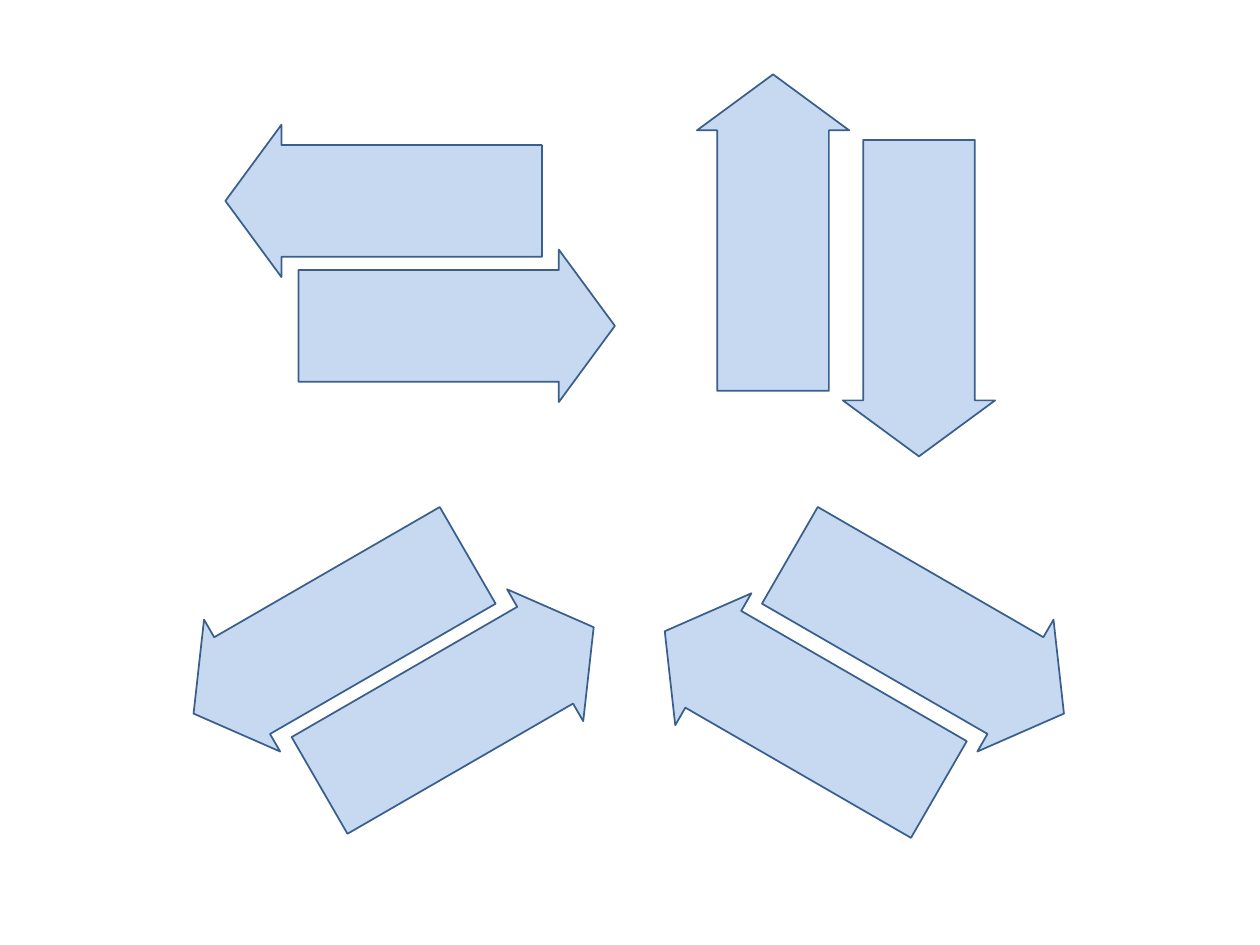
"""Build a slide of four pairs of opposing block arrows."""
import dataclasses

import pptx
import pptx.dml.color
import pptx.enum.shapes
import pptx.util

Cm = pptx.util.Cm
RGB = pptx.dml.color.RGBColor


@dataclasses.dataclass(frozen=True)
class Theme:
    fill: RGB = RGB.from_string("C6D9F1")
    edge: RGB = RGB.from_string("3A5F8C")
    line: float = 1
    font: str = "Calibri"
    size: float = 18


THEME = Theme()
WIDE, TALL = 3.07, 6.38
SHAFT, HEAD = 0.733, 0.368

LEVEL = [(7.67, 3.38, 90), (6.2, 0.86, 270)]
RISING = [(7.67, 11.05, 60), (5.13, 9.6, 240)]
FALLING = [(17.15, 9.6, 120), (14.63, 11.13, 300)]
UPRIGHT = [(14.05, 1.5, 0), (16.99, 2.82, 180)]


def add_arrow(shapes, left, top, turn):
    arrow = shapes.add_shape(
        pptx.enum.shapes.MSO_SHAPE.UP_ARROW, Cm(left), Cm(top), Cm(WIDE), Cm(TALL)
    )
    arrow.adjustments[0] = SHAFT
    arrow.adjustments[1] = HEAD
    arrow.rotation = turn
    arrow.shadow.inherit = False
    arrow.fill.solid()
    arrow.fill.fore_color.rgb = THEME.fill
    arrow.line.color.rgb = THEME.edge
    arrow.line.width = pptx.util.Pt(THEME.line)
    font = arrow.text_frame.paragraphs[0].font
    font.name = THEME.font
    font.size = pptx.util.Pt(THEME.size)
    font.color.rgb = THEME.edge


def add_pair(shapes, pair):
    for left, top, turn in pair:
        add_arrow(shapes, left, top, turn)


def main():
    deck = pptx.Presentation()
    deck.slide_width, deck.slide_height = Cm(25.4), Cm(19.05)
    shapes = deck.slides.add_slide(deck.slide_layouts[6]).shapes
    add_pair(shapes, LEVEL)
    add_pair(shapes.add_group_shape().shapes, RISING)
    add_pair(shapes, FALLING)
    add_pair(shapes, UPRIGHT)
    deck.save("out.pptx")


if __name__ == "__main__":
    main()
